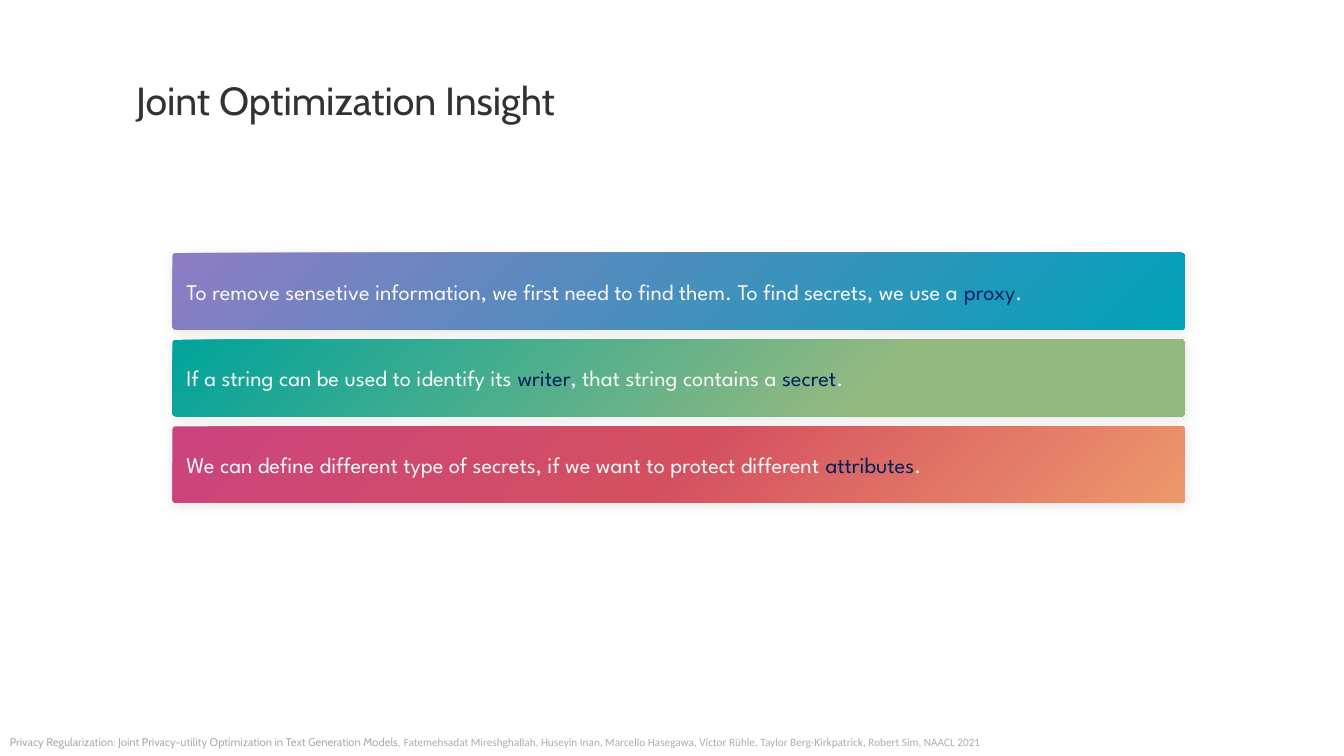
from lxml import etree
from pptx import Presentation
from pptx.dml.color import RGBColor
from pptx.enum.shapes import MSO_SHAPE
from pptx.enum.text import MSO_ANCHOR, PP_ALIGN
from pptx.oxml.ns import qn
from pptx.util import Inches, Pt

DARK_GRAY = RGBColor(0x32, 0x32, 0x32)
LIGHT_GRAY = RGBColor(0xAC, 0xAC, 0xAC)
OFF_WHITE = RGBColor(0xFA, 0xFA, 0xFA)
NAVY = RGBColor(0x00, 0x20, 0x60)
BLACK = RGBColor(0x00, 0x00, 0x00)
PURPLE = RGBColor(0x8E, 0x7C, 0xC3)
CYAN = RGBColor(0x00, 0xA2, 0xB7)
TEAL = RGBColor(0x00, 0xA3, 0x9B)
GREEN = RGBColor(0x94, 0xB9, 0x80)
MAGENTA = RGBColor(0xCA, 0x43, 0x7E)
RED = RGBColor(0xD4, 0x50, 0x60)
ORANGE = RGBColor(0xED, 0x98, 0x6C)

BAR_LEFT, BAR_TOP = 1.71, 2.51
BAR_WIDTH, BAR_HEIGHT = 10.04, 0.76
BAR_PITCH = 0.86
BAR_INSET = Inches(0.13)


def add_run(paragraph, text, font_name, size, color):
    run = paragraph.add_run()
    run.text = text
    run.font.name = font_name
    run.font.size = Pt(size)
    run.font.color.rgb = color


def add_color(parent, color):
    """Append an RGB colour element to a gradient stop or shadow."""
    return etree.SubElement(parent, qn("a:srgbClr"), val=str(color))


presentation = Presentation()
presentation.slide_width = Inches(13.33)
presentation.slide_height = Inches(7.5)
slide = presentation.slides.add_slide(presentation.slide_layouts[6])

# Title
title = slide.shapes.add_textbox(Inches(1.35), Inches(0.76), Inches(10.58), Inches(0.5))
title_frame = title.text_frame
title_frame.word_wrap = True
title_frame.margin_left = title_frame.margin_right = 0
title_frame.margin_top = title_frame.margin_bottom = 0
add_run(title_frame.paragraphs[0], "Joint Optimization Insight", "Cabin", 28, DARK_GRAY)

# Insight bars: gradient stops in percent, then text runs with their colours
insights = [
    (
        [(0, PURPLE), (100, CYAN)],
        [
            ("To remove sensetive information, we first need to find them. "
             "To find secrets, we use a ", OFF_WHITE),
            ("proxy", NAVY),
            (".", OFF_WHITE),
        ],
    ),
    (
        [(0, TEAL), (69, GREEN), (100, GREEN)],
        [
            ("If a string can be used to identify its ", OFF_WHITE),
            ("writer", NAVY),
            (", that string contains a ", OFF_WHITE),
            ("secret", NAVY),
            (".", OFF_WHITE),
        ],
    ),
    (
        [(0, MAGENTA), (50, RED), (100, ORANGE)],
        [
            ("We can define different type of secrets, "
             "if we want to protect different ", OFF_WHITE),
            ("attributes", NAVY),
            (".", OFF_WHITE),
        ],
    ),
]

for row, (stops, runs) in enumerate(insights):
    bar = slide.shapes.add_shape(
        MSO_SHAPE.ROUNDED_RECTANGLE,
        Inches(BAR_LEFT), Inches(BAR_TOP + row * BAR_PITCH),
        Inches(BAR_WIDTH), Inches(BAR_HEIGHT),
    )
    bar.adjustments[0] = 0.045
    bar.line.fill.background()

    bar.fill.gradient()
    bar.fill.gradient_angle = 315
    stop_list = bar.element.spPr.find(qn("a:gradFill")).find(qn("a:gsLst"))
    for default_stop in list(stop_list):
        stop_list.remove(default_stop)
    for percent, color in stops:
        stop = etree.SubElement(stop_list, qn("a:gs"), pos=str(percent * 1000))
        add_color(stop, color)

    bar.shadow.inherit = False
    effects = bar.element.spPr.find(qn("a:effectLst"))
    shadow = etree.SubElement(
        effects, qn("a:outerShdw"), blurRad=str(Pt(9)), dist=str(Pt(1.5)),
        dir="5400000", algn="t", rotWithShape="0",
    )
    etree.SubElement(add_color(shadow, BLACK), qn("a:alpha"), val="10000")

    frame = bar.text_frame
    frame.word_wrap = True
    frame.vertical_anchor = MSO_ANCHOR.MIDDLE
    frame.margin_left = frame.margin_right = BAR_INSET
    frame.margin_top = frame.margin_bottom = BAR_INSET
    paragraph = frame.paragraphs[0]
    paragraph.alignment = PP_ALIGN.LEFT
    for text, color in runs:
        add_run(paragraph, text, "League Spartan", 16, color)

# Citation
citation = slide.shapes.add_textbox(0, Inches(7.25), Inches(12.68), Inches(0.25))
citation.text_frame.word_wrap = True
paragraph = citation.text_frame.paragraphs[0]
add_run(
    paragraph,
    "Privacy Regularization: Joint Privacy-utility Optimization in Text Generation Models, ",
    "Cabin", 8, LIGHT_GRAY,
)
add_run(
    paragraph,
    "Fatemehsadat Mireshghallah, Huseyin Inan, Marcello Hasegawa, Victor Rühle, "
    "Taylor Berg-Kirkpatrick, Robert Sim, NAACL 2021",
    "Calibri", 8, LIGHT_GRAY,
)

presentation.save("out.pptx")
